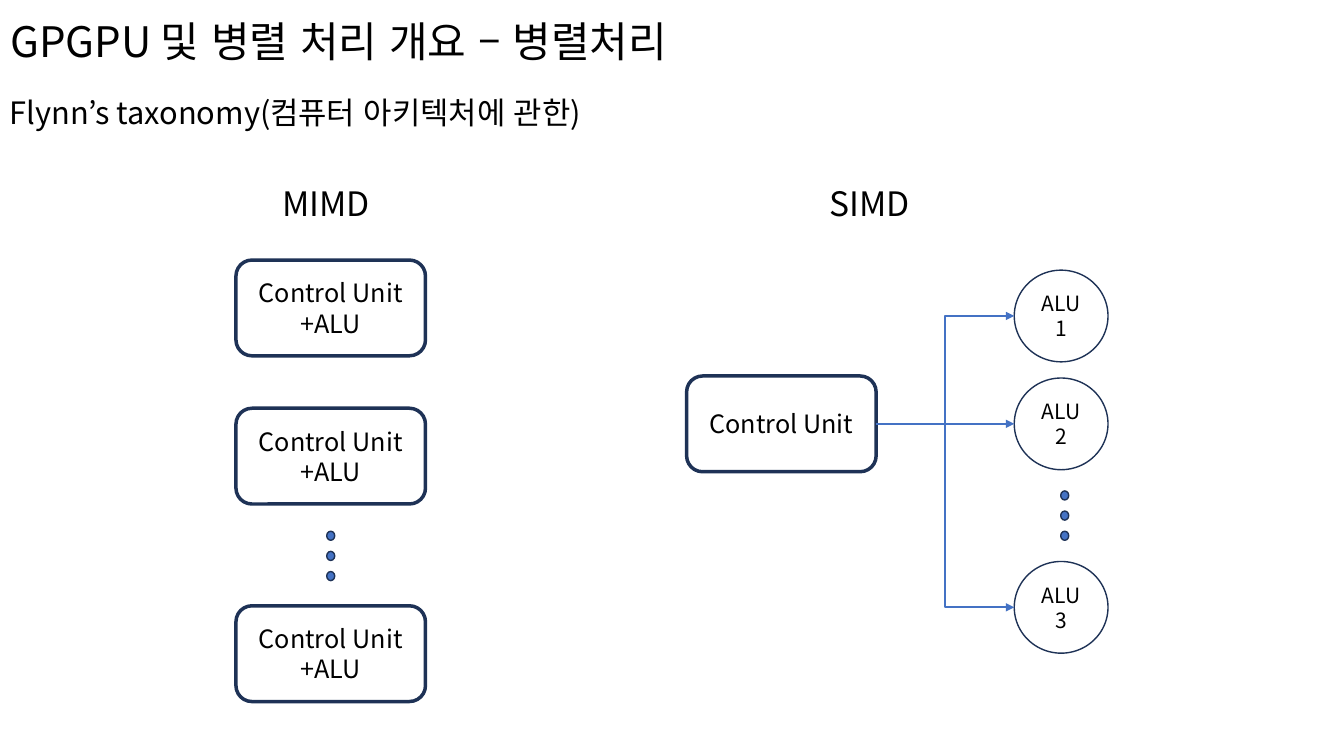
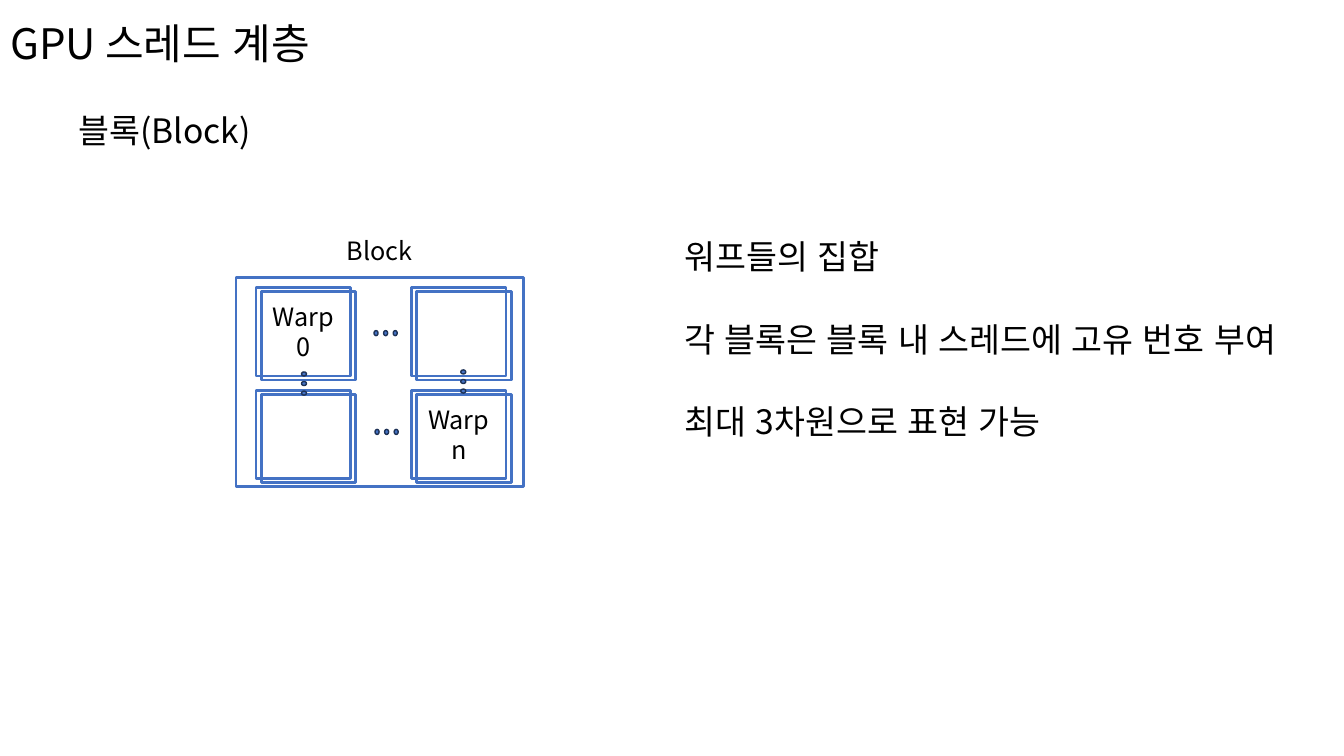
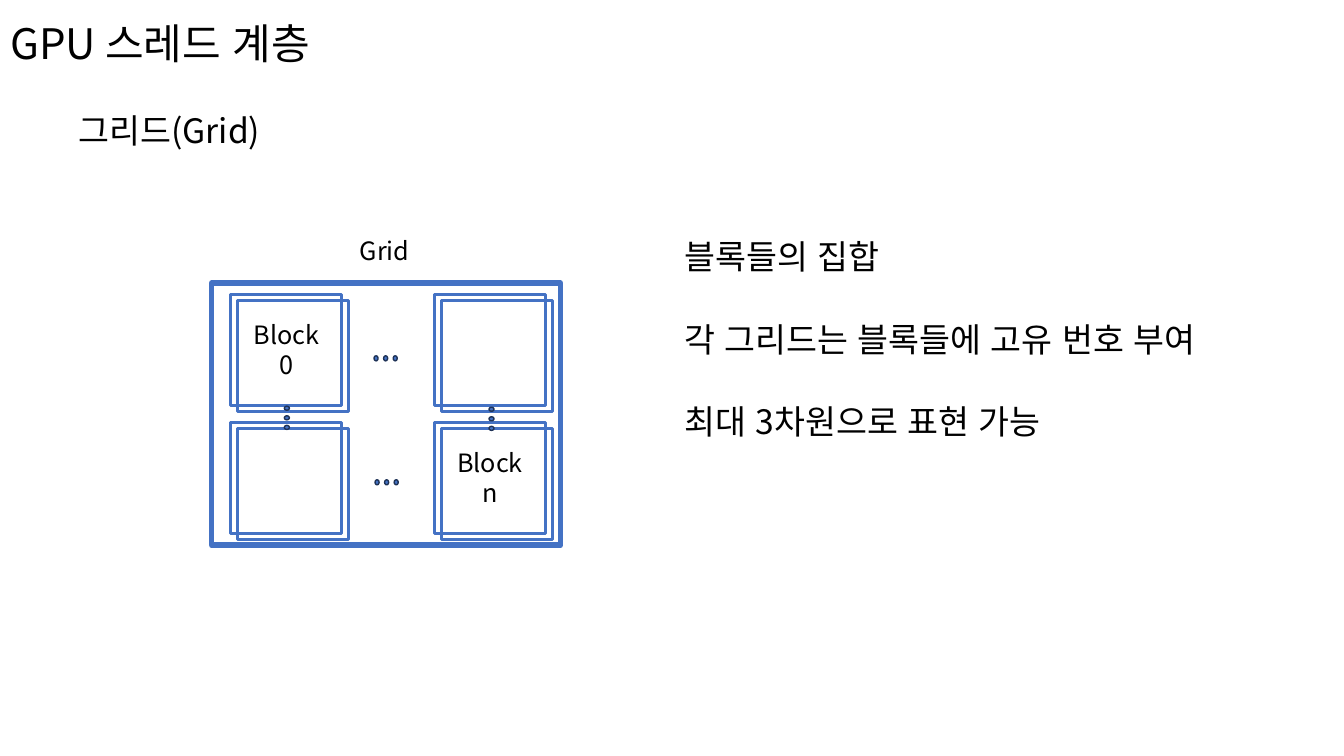
from lxml.etree import SubElement
from pptx import Presentation
from pptx.dml.color import RGBColor
from pptx.enum.lang import MSO_LANGUAGE_ID as Language
from pptx.enum.shapes import MSO_CONNECTOR as Connector, MSO_SHAPE as Preset
from pptx.enum.text import MSO_ANCHOR as Anchor, MSO_AUTO_SIZE as AutoSize, PP_ALIGN as Align
from pptx.oxml.ns import qn
from pptx.util import Inches, Pt

FONT = "Noto Sans CJK KR"
BLACK, WHITE, NAVY, BLUE = "000000", "FFFFFF", "1E3256", "4472C4"


def color(value):
    """Turn a hex string into a colour."""
    return RGBColor.from_string(value)


def place(left, top, width, height):
    """Turn a frame in inches into lengths."""
    return [Inches(value) for value in (left, top, width, height)]


def write(frame, lines, size, align=Align.LEFT, anchor=Anchor.TOP):
    """Write one paragraph for each line."""
    frame.word_wrap = True
    frame.auto_size = AutoSize.NONE
    frame.vertical_anchor = anchor
    for index, line in enumerate(lines):
        para = frame.add_paragraph() if index else frame.paragraphs[0]
        para.alignment = align
        span = para.add_run()
        span.text = line
        span.font.name = FONT
        span.font.size = Pt(size)
        span.font.language_id = Language.KOREAN
        span.font.color.rgb = color(BLACK)
        SubElement(span.font._element, qn("a:ea"), typeface=FONT)


def add_page(deck, title, top=0.02):
    """Add a page with the shared title style."""
    page = deck.slides.add_slide(deck.slide_layouts.get_by_name("Title Only"))
    box = page.shapes.title
    box.left, box.top, box.width, box.height = place(0, top, 13.33, 0.88)
    write(box.text_frame, [title], 30, anchor=Anchor.MIDDLE)
    box.text_frame.paragraphs[0].line_spacing = 0.9
    return page


def add_text(page, frame, text, size=24, align=Align.LEFT):
    """Add a one-line text box."""
    box = page.shapes.add_textbox(*place(*frame))
    write(box.text_frame, [text], size, align)


def add_shape(page, preset, frame, line, weight, fill=None, lines=(), size=18):
    """Add an outlined shape with optional fill and centred text."""
    shape = page.shapes.add_shape(preset, *place(*frame))
    shape.shadow.inherit = False
    if fill:
        shape.fill.solid()
        shape.fill.fore_color.rgb = color(fill)
    else:
        shape.fill.background()
    shape.line.color.rgb = color(line)
    shape.line.width = Pt(weight)
    if lines:
        write(shape.text_frame, lines, size, Align.CENTER, Anchor.MIDDLE)
    return shape


def add_dots(page, left, top, width, height, across=0, down=0):
    """Add three evenly spaced dots."""
    for index in range(3):
        frame = (left + index * across / 2, top + index * down / 2, width, height)
        add_shape(page, Preset.FLOWCHART_CONNECTOR, frame, NAVY, 1, BLUE)


def add_unit(page, left, top, lines):
    """Add a rounded control unit."""
    frame = (left, top, 1.88, 0.95)
    return add_shape(page, Preset.ROUNDED_RECTANGLE, frame, NAVY, 2.5, WHITE, lines)


def add_arrow(page, kind, start, end):
    """Add a blue connector with an arrowhead."""
    points = [Inches(value) for value in (*start, *end)]
    arrow = page.shapes.add_connector(kind, *points)
    arrow.line.color.rgb = color(BLUE)
    arrow.line.width = Pt(1.5)
    SubElement(arrow.line._get_or_add_ln(), qn("a:tailEnd"), type="triangle")
    SubElement(arrow._element.spPr, qn("a:effectLst"))
    return arrow


def add_mimd(page):
    """Draw the units that each hold their own ALU."""
    add_text(page, (2.7, 1.77, 1.16, 0.5), "MIMD")
    for top in (2.58, 4.05, 6.01):
        add_unit(page, 2.34, top, ["Control Unit", "+ALU"])
    add_dots(page, 3.24, 5.27, 0.08, 0.09, down=0.4)


def add_simd(page):
    """Draw one control unit that drives several ALUs."""
    add_text(page, (8.13, 1.77, 1.11, 0.5), "SIMD")
    unit = add_unit(page, 6.81, 3.73, ["Control Unit"])
    middle = 3.73 + 0.95 / 2
    kinds = (Connector.ELBOW, Connector.STRAIGHT, Connector.ELBOW)
    for number, (top, kind) in enumerate(zip((2.68, 3.75, 5.57), kinds), 1):
        frame = (10.06, top, 0.93, 0.91)
        add_shape(page, Preset.OVAL, frame, NAVY, 1, lines=["ALU", str(number)], size=15)
        arrow = add_arrow(page, kind, (8.69, middle), (10.06, top + 0.91 / 2))
        if kind == Connector.STRAIGHT:
            arrow.begin_connect(unit, 3)
    add_dots(page, 10.52, 4.87, 0.08, 0.09, down=0.4)


def add_tiles(page, name, lefts, tops, size, shift):
    """Draw a two by two grid of doubled tiles, named at first and last."""
    labels = {(0, 0): [name, "0"], (1, 1): [name, "n"]}
    for row, top in enumerate(tops):
        for column, left in enumerate(lefts):
            lines = labels.get((row, column), ())
            add_shape(page, Preset.RECTANGLE, (left, top, *size), BLUE, 2, lines=lines)
            back = (left + shift[0], top + shift[1], *size)
            add_shape(page, Preset.RECTANGLE, back, BLUE, 2)


def add_small_dots(page, columns, rows):
    """Draw dots between tile rows and between tile columns."""
    for left, top in columns:
        add_dots(page, left, top, 0.05, 0.04, down=0.19)
    for left, top in rows:
        add_dots(page, left, top, 0.04, 0.05, across=0.19)


def add_level(deck, heading, points):
    """Add a thread hierarchy page with its heading and points."""
    page = add_page(deck, "GPU 스레드 계층")
    add_text(page, (0.68, 1.04, 6.99, 0.5), heading)
    for index, point in enumerate(points):
        add_text(page, (6.69, 2.29 + 0.82 * index, 6.64, 0.5), point)
    return page


def add_taxonomy_page(deck):
    """Add the parallel processing page."""
    page = add_page(deck, "GPGPU 및 병렬 처리 개요 – 병렬처리", top=0)
    add_text(page, (0, 0.88, 6.12, 0.47), "Flynn’s taxonomy(컴퓨터 아키텍처에 관한)", 22)
    add_simd(page)
    add_mimd(page)


def add_block_page(deck):
    """Add the page on blocks of warps."""
    points = ["워프들의 집합", "각 블록은 블록 내 스레드에 고유 번호 부여", "최대 3차원으로 표현 가능"]
    page = add_level(deck, "블록(Block)", points)
    add_text(page, (3.16, 2.29, 1.21, 0.4), "Block", 18, Align.CENTER)
    add_shape(page, Preset.RECTANGLE, (2.34, 2.75, 2.85, 2.08), BLUE, 2)
    add_tiles(page, "Warp", (2.54, 4.08), (2.85, 3.87), (0.94, 0.88), (0.05, 0.04))
    add_small_dots(page, [(2.99, 3.69), (4.57, 3.67)], [(3.71, 3.28), (3.72, 4.26)])


def add_grid_page(deck):
    """Add the page on grids of blocks."""
    points = ["블록들의 집합", "각 그리드는 블록들에 고유 번호 부여", "최대 3차원으로 표현 가능"]
    page = add_level(deck, "그리드(Grid)", points)
    add_text(page, (3.21, 2.29, 1.21, 0.4), "Grid", 18, Align.CENTER)
    add_shape(page, Preset.RECTANGLE, (2.1, 2.81, 3.46, 2.6), BLUE, 4)
    add_tiles(page, "Block", (2.29, 4.31), (2.92, 4.19), (1.1, 1.1), (0.07, 0.06))
    add_small_dots(page, [(2.82, 4.03), (4.85, 4.04)], [(3.71, 3.53), (3.72, 4.76)])


def main():
    """Build and save the deck."""
    deck = Presentation()
    deck.slide_width, deck.slide_height = Inches(13.33), Inches(7.5)
    add_taxonomy_page(deck)
    add_block_page(deck)
    add_grid_page(deck)
    deck.save("out.pptx")


if __name__ == "__main__":
    main()
